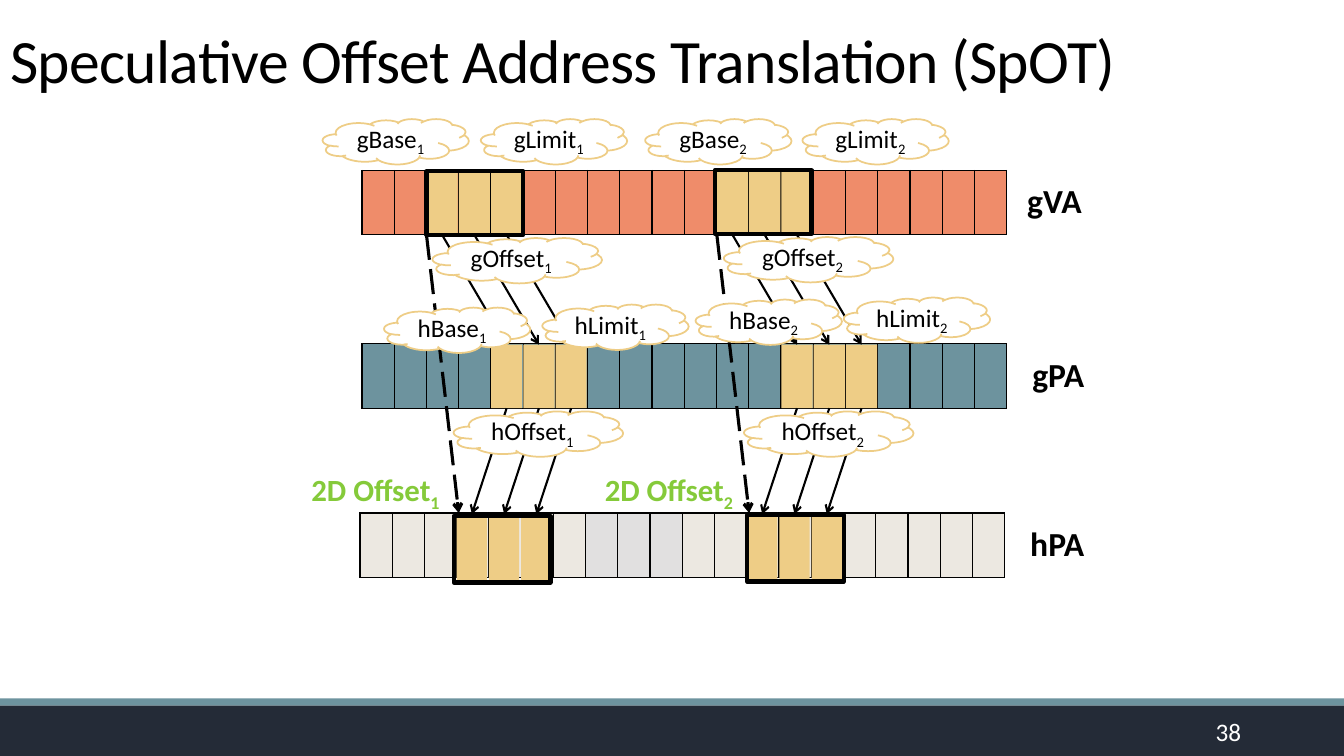
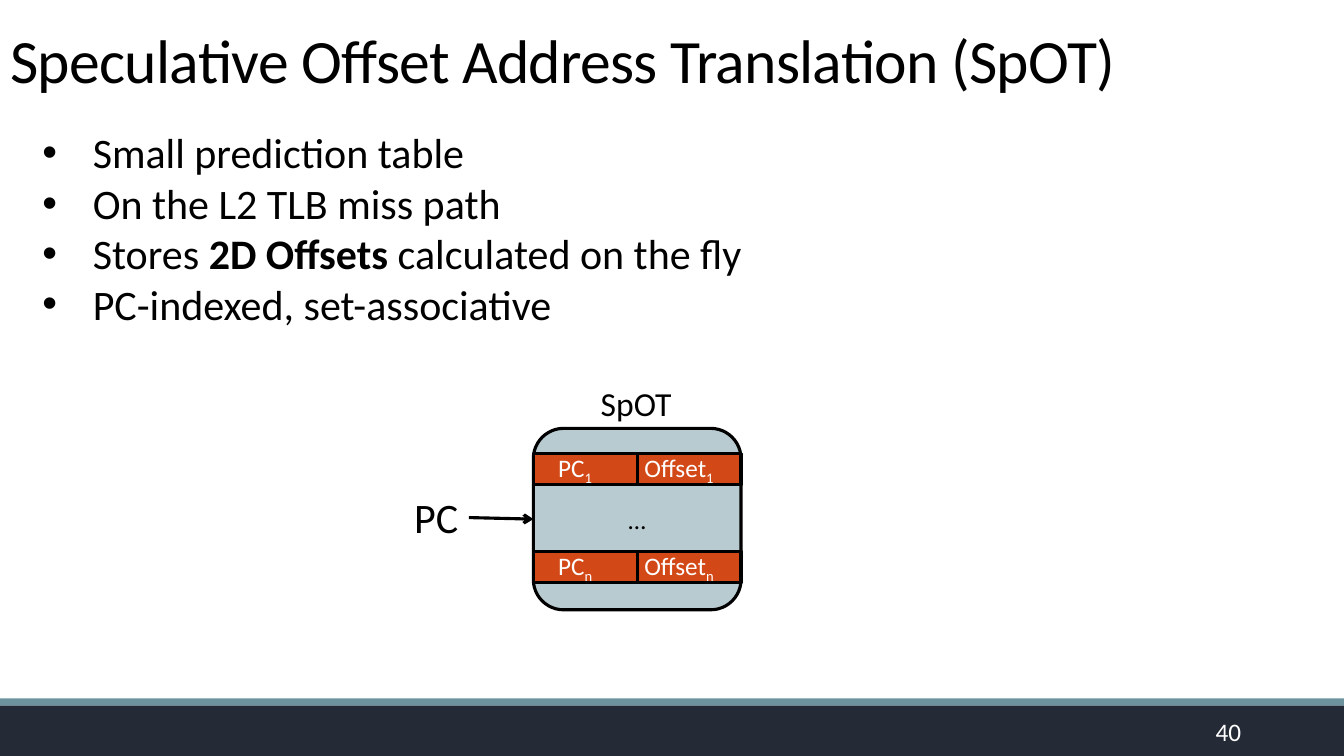
from dataclasses import dataclass
from itertools import product
from typing import NamedTuple, Optional

from lxml.etree import SubElement
from pptx import Presentation
from pptx.dml.color import RGBColor
from pptx.enum.dml import MSO_LINE_DASH_STYLE as Dash
from pptx.enum.shapes import MSO_CONNECTOR, MSO_SHAPE as Kind
from pptx.enum.text import MSO_ANCHOR as Anchor, MSO_AUTO_SIZE as Fit, PP_ALIGN as Align
from pptx.oxml.ns import qn
from pptx.shapes.autoshape import Shape
from pptx.shapes.connector import Connector
from pptx.slide import Slide
from pptx.util import Emu, Inches, Pt

WIDE, HIGH = 13.33, 7.5
COL, TALL = 0.32, 0.64  # one memory page
PAGES = 20
RUN = 3  # pages in one contiguous mapping


@dataclass(frozen=True)
class Theme:
    font: str = "Calibri"
    ink: str = "000000"
    white: str = "FFFFFF"
    navy: str = "242B37"
    teal: str = "6D939E"
    coral: str = "EF8C6A"
    sand: str = "ECE8E1"
    grey: str = "E1E0E0"
    gold: str = "EECD86"
    green: str = "85CA3A"
    mist: str = "B8CBD0"
    rust: str = "D34817"
    head: float = 44
    list: float = 30
    label: float = 24
    mark: float = 22
    note: float = 18


T = Theme()


class Look(NamedTuple):
    size: float
    tint: str = T.ink
    bold: bool = False


class Box(NamedTuple):
    x: float
    y: float
    w: float
    h: float


class Row(NamedTuple):
    name: str
    x: float
    y: float
    tint: str
    label: float
    cell: tuple[float, float, float]  # offset from the row top, width, height
    starts: tuple[int, int]  # first mapped column of each mapping


class Cloud(NamedTuple):
    name: str
    width: float
    spots: tuple[tuple[float, float], tuple[float, float]]


ROWS = (
    Row("gVA", 3.59, 1.69, T.coral, 10.09, (0.01, 0.31, 0.63), (2, 11)),
    Row("gPA", 3.59, 3.41, T.teal, 10.14, (0.01, 0.31, 0.63), (4, 13)),
    Row("hPA", 3.57, 5.09, T.sand, 10.12, (0.01, 0.3, 0.68), (3, 12)),
)
GREYS = range(7, 10)
CLOUDS = (
    Cloud("gBase", 1.45, ((3.2, 1.18), (6.4, 1.18))),
    Cloud("gLimit", 1.45, ((4.77, 1.18), (7.96, 1.18))),
    Cloud("gOffset", 1.68, ((4.29, 2.36), (7.18, 2.35))),
    Cloud("hBase", 1.45, ((3.81, 3.05), (6.9, 2.97))),
    Cloud("hLimit", 1.45, ((5.38, 3.02), (8.37, 2.95))),
    Cloud("hOffset", 1.68, ((4.5, 4.08), (7.38, 4.08))),
)
FRAMES = (
    Box(4.23, 1.7, RUN * COL, 0.63),
    Box(7.09, 1.69, RUN * COL, 0.63),
    Box(4.5, 5.12, RUN * COL, 0.66),
    Box(7.41, 5.11, RUN * COL, 0.66),
)
POINTS = (
    "Small prediction table",
    "On the L2 TLB miss path",
    "Stores *2D Offsets *calculated on the fly",
    "PC-indexed, set-associative",
)


def paint(tint: str) -> RGBColor:
    return RGBColor.from_string(tint)


def emu(box: Box) -> list[Emu]:
    return [Inches(n) for n in box]


def write(par, text: str, look: Look) -> None:
    """Fill a paragraph; *stars* make bold, and what follows _ is a subscript."""
    base, _, sub = text.partition("_")
    first, *rest = base.split("*")
    par.text = first
    for part in rest:
        par.add_run().text = part
    for i, run in enumerate(par.runs):
        run.font.bold = look.bold or i % 2 == 1
    if sub:
        low = par.add_run()
        low.text = sub
        low.font.bold = look.bold
        low._r.get_or_add_rPr().set("baseline", "-25000")
    for run in par.runs:
        run.font.name, run.font.size = T.font, Pt(look.size)
        run.font.color.rgb = paint(look.tint)


def draw(slide: Slide, kind: Kind, box: Box, fill: Optional[str] = None,
         line: Optional[str] = None, width: float = 2.25) -> Shape:
    shape = slide.shapes.add_shape(kind, *emu(box))
    shape.shadow.inherit = False
    if fill:
        shape.fill.solid()
        shape.fill.fore_color.rgb = paint(fill)
    else:
        shape.fill.background()
    if line:
        shape.line.color.rgb = paint(line)
        shape.line.width = Pt(width)
    else:
        shape.line.fill.background()
    return shape


def center(shape: Shape, text: str, look: Look) -> None:
    shape.text_frame.vertical_anchor = Anchor.MIDDLE
    par = shape.text_frame.paragraphs[0]
    write(par, text, look)
    par.alignment = Align.CENTER


def label(slide: Slide, box: Box, text: str, look: Look) -> Shape:
    shape = slide.shapes.add_textbox(*emu(box))
    shape.text_frame.word_wrap = False
    write(shape.text_frame.paragraphs[0], text, look)
    return shape


def arrow(slide: Slide, width: float, start: tuple[float, float] = (0, 0),
          end: tuple[float, float] = (0, 0)) -> Connector:
    line = slide.shapes.add_connector(
        MSO_CONNECTOR.STRAIGHT, *(Inches(n) for n in (*start, *end)))
    line.line.color.rgb = paint(T.ink)
    line.line.width = Pt(width)
    props = line.element.spPr
    SubElement(props.find(qn("a:ln")), qn("a:tailEnd"), type="arrow")
    SubElement(props, qn("a:effectLst"))
    return line


def link(slide: Slide, width: float, src: Shape, out: int, dst: Shape, into: int) -> None:
    line = arrow(slide, width)
    line.begin_connect(src, out)
    line.end_connect(dst, into)


def edge(cell) -> None:
    """Give a table cell a thin dark border on each side."""
    props = cell._tc.get_or_add_tcPr()
    for side in "LRTB":
        line = SubElement(props, qn(f"a:ln{side}"), w=str(Pt(1)))
        SubElement(SubElement(line, qn("a:solidFill")), qn("a:srgbClr"), val=T.ink)


def strip(slide: Slide, row: Row) -> None:
    """Draw one address space as a row of pages with its name."""
    frame = slide.shapes.add_table(1, PAGES, *emu(Box(row.x, row.y, PAGES * COL, TALL)))
    table = frame.table
    table.first_row = table.horz_banding = False
    for i, cell in enumerate(table.iter_cells()):
        table.columns[i].width = Inches(COL)
        edge(cell)
        cell.fill.solid()
        grey = row.name == "hPA" and i in GREYS
        cell.fill.fore_color.rgb = paint(T.grey if grey else row.tint)
    label(slide, Box(row.label, row.y + 0.05, 0.74, 0.5), row.name, Look(T.label, bold=True))


def pages(slide: Slide, row: Row, which: int) -> list[Shape]:
    drop, wide, tall = row.cell
    return [
        draw(slide, Kind.RECTANGLE,
             Box(row.x + (row.starts[which] + i) * COL, row.y + drop, wide, tall), T.gold)
        for i in range(RUN)
    ]


def start(deck, layout: int, number: int) -> Slide:
    """Add a slide with the shared title and its page number."""
    slide = deck.slides.add_slide(deck.slide_layouts[layout])
    title = slide.shapes.title
    title.left, title.top, title.width, title.height = emu(Box(0, 0.01, WIDE, 0.99))
    frame = title.text_frame
    frame.auto_size, frame.vertical_anchor = Fit.NONE, Anchor.BOTTOM
    par = frame.paragraphs[0]
    write(par, "Speculative Offset Address Translation (SpOT)", Look(T.head))
    par.alignment, par.line_spacing = Align.LEFT, 0.85
    par.runs[0]._r.get_or_add_rPr().set("spc", "-50")
    page = label(slide, Box(10.98, 7.06, 1.43, 0.4), str(number), Look(T.note, T.white))
    page.text_frame.word_wrap = True
    page.text_frame.vertical_anchor = Anchor.MIDDLE
    page.text_frame.paragraphs[0].alignment = Align.RIGHT
    return slide


def bands(deck, slide: Slide) -> None:
    """Draw the foot bands and hand them to the master."""
    tree = deck.slide_master.shapes.element
    for y, tall, tint in ((7, 0.5, T.navy), (6.93, 0.07, T.teal)):
        band = draw(slide, Kind.RECTANGLE, Box(0, y, WIDE, tall), tint)
        tree.insert(2, band.element)


def spaces(slide: Slide) -> None:
    for row in ROWS:
        strip(slide, row)
    for which in range(2):
        guest, mid, host = (pages(slide, row, which) for row in ROWS)
        for top, low in (*zip(guest, mid), *zip(mid, host)):
            link(slide, 1.5, top, 2, low, 0)
        x = ROWS[0].x + ROWS[0].starts[which] * COL
        dash = arrow(slide, 2.25, (x, 2.33), (x + COL, 5.09))
        dash.line.dash_style = Dash.LONG_DASH
        label(slide, Box((2.99, 5.9)[which], 4.62, 1.51, 0.47),
              f"2D Offset_{which + 1}", Look(T.mark, T.green, True))
    for cloud, which in product(CLOUDS, range(2)):
        shape = draw(slide, Kind.CLOUD, Box(*cloud.spots[which], cloud.width, 0.45),
                     T.white, T.gold, 1.25)
        center(shape, f"{cloud.name}_{which + 1}", Look(T.note))
    for box in FRAMES:
        draw(slide, Kind.RECTANGLE, box, line=T.ink, width=3)


def points(slide: Slide) -> None:
    body = slide.placeholders[1]
    body.left, body.top, body.width, body.height = emu(Box(0.32, 1.21, 12.92, 2.12))
    frame = body.text_frame
    frame.auto_size = Fit.NONE
    frame.text = "\n".join(POINTS)
    for par, text in zip(frame.paragraphs, POINTS):
        write(par, text, Look(T.list))
        par.space_before = Pt(0)
        props = par._p.get_or_add_pPr()
        props.set("marL", str(Inches(0.5)))
        props.set("indent", str(-Inches(0.5)))
        SubElement(props, qn("a:buChar"), char="•")


def cache(slide: Slide) -> None:
    """Draw the prediction table with its first and last entries."""
    box = Box(5.29, 4.25, 2.06, 1.8)
    store = draw(slide, Kind.ROUNDED_RECTANGLE, box, T.mist, T.ink)
    center(store, "…", Look(T.note))
    label(slide, Box(5.86, 3.75, 0.91, 0.5), "SpOT", Look(T.label))
    half = box.w / 2
    for (y, sub), (i, name) in product(((4.5, "1"), (5.47, "n")), enumerate(("PC", "Offset"))):
        cell = draw(slide, Kind.RECTANGLE, Box(box.x + i * half, y, half, 0.31), T.rust, T.ink)
        cell.text_frame.margin_left, cell.text_frame.margin_right = 0, Inches(0.2)
        center(cell, f"{name}_{sub}", Look(T.note, T.white))
    key = label(slide, Box(4.01, 4.83, 0.64, 0.61), "PC", Look(T.list))
    link(slide, 2.25, key, 3, store, 1)


def main() -> None:
    deck = Presentation()
    deck.slide_width, deck.slide_height = Inches(WIDE), Inches(HIGH)
    first = start(deck, 5, 38)
    bands(deck, first)
    spaces(first)
    second = start(deck, 1, 40)
    points(second)
    cache(second)
    deck.save("out.pptx")


if __name__ == "__main__":
    main()
